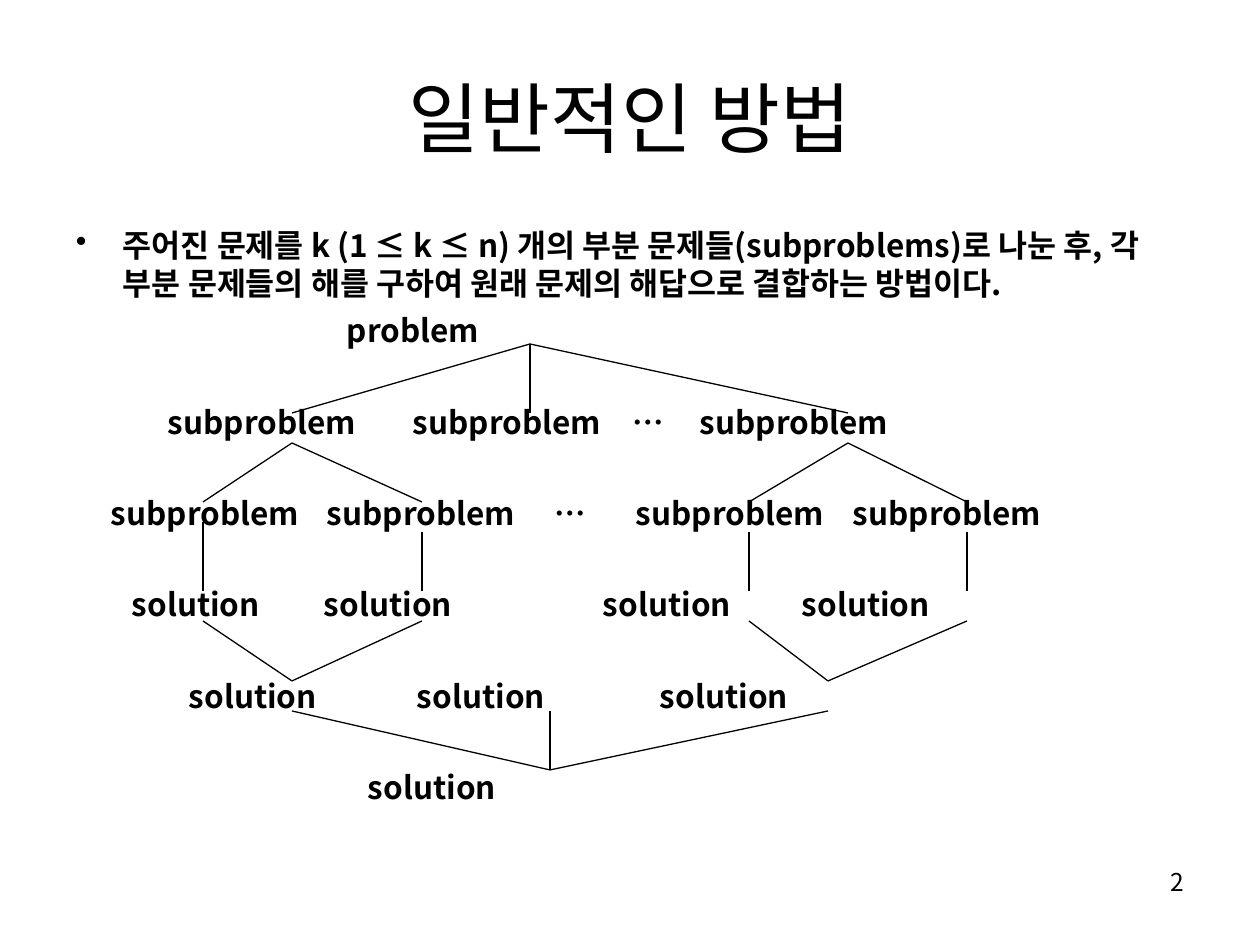
from lxml import etree
from pptx import Presentation
from pptx import util as u
from pptx.dml.color import RGBColor
from pptx.enum import shapes, text
from pptx.oxml.ns import qn

PX = 914400 // 126
FONT = "Noto Sans CJK KR"
COLORS = {"ink": "000000", "paper": "FFFFFF"}

TITLE = "일반적인 방법"
DEFINITION = ("주어진 문제를 k (1 ≤ k ≤ n) 개의 부분 문제들(subproblems)로 나눈 후, "
              "각 부분 문제들의 해를 구하여 원래 문제의 해답으로 결합하는 방법이다.")
PAGE = "2"

LEVELS = [
    [("problem", 413)],
    [("subproblem", 262), ("subproblem", 507), ("…", 648), ("subproblem", 794)],
    [("subproblem", 205), ("subproblem", 421), ("…", 570), ("subproblem", 730), ("subproblem", 947)],
    [("solution", 196), ("solution", 388), ("solution", 667), ("solution", 866)],
    [("solution", 253), ("solution", 481), ("solution", 724)],
    [("solution", 432)],
]
FIRST_LEVEL_Y, LEVEL_STEP = 330, 91.4
LABEL_W, LABEL_H = 210, 46

LEAVES = (203, 422, 749, 967)
FANS = [
    ((530, 344), (292, 530, 848), 413),
    ((292, 443), LEAVES[:2], 502),
    ((848, 443), LEAVES[2:], 502),
    ((292, 681), LEAVES[:2], 621),
    ((828, 681), LEAVES[2:], 621),
    ((550, 770), (292, 550, 828), 711),
]
LEAF_TOPS, LEAF_BOTTOM = (522, 532, 532, 532), 591


def px(n):
    return u.Emu(round(n * PX))


def add_words(slide, words, box, size, align, anchor, bold=False, inset=(0, 0)):
    frame = slide.shapes.add_textbox(*map(px, box)).text_frame
    frame.word_wrap = True
    frame.vertical_anchor = anchor
    frame.margin_left = frame.margin_right = px(inset[0])
    frame.margin_top = frame.margin_bottom = px(inset[1])
    paragraph = frame.paragraphs[0]
    paragraph.text = words
    paragraph.alignment = align
    font = paragraph.font
    font.name, font.size, font.bold = FONT, u.Pt(size), bold
    font.color.rgb = RGBColor.from_string(COLORS["ink"])
    for run in paragraph.runs:
        east_asian = etree.SubElement(run._r.get_or_add_rPr(), qn("a:ea"))
        east_asian.set("typeface", FONT)
    return paragraph


def add_bullet(paragraph, indent):
    props = paragraph._p.get_or_add_pPr()
    props.set("marL", str(px(indent)))
    props.set("indent", str(-px(indent)))
    bullet = etree.Element(qn("a:buChar"))
    bullet.set("char", "•")
    props.insert(0, bullet)


def add_branch(slide, start, end):
    branch = slide.shapes.add_connector(
        shapes.MSO_CONNECTOR.STRAIGHT, *map(px, start + end))
    branch.line.color.rgb = RGBColor.from_string(COLORS["ink"])
    branch.line.width = u.Pt(0.75)
    etree.SubElement(branch._element.spPr, qn("a:effectLst"))


def main():
    deck = Presentation()
    deck.slide_width, deck.slide_height = px(1260), px(945)
    slide = deck.slides.add_slide(deck.slide_layouts[6])
    slide.background.fill.solid()
    slide.background.fill.fore_color.rgb = RGBColor.from_string(COLORS["paper"])

    align, anchor = text.PP_ALIGN, text.MSO_ANCHOR
    add_words(slide, PAGE, (903, 861, 294, 65), 14, align.RIGHT, anchor.TOP, inset=(13, 6))
    add_words(slide, TITLE, (63, 38, 1134, 158), 44, align.CENTER, anchor.MIDDLE, inset=(13, 6))
    definition = add_words(slide, DEFINITION, (63, 220, 1134, 90), 18,
                           align.LEFT, anchor.TOP, True, (13, 6))
    add_bullet(definition, 47)

    for row, labels in enumerate(LEVELS):
        top = FIRST_LEVEL_Y + row * LEVEL_STEP - LABEL_H / 2
        for words, center in labels:
            add_words(slide, words, (center - LABEL_W / 2, top, LABEL_W, LABEL_H), 18,
                      align.CENTER, anchor.MIDDLE, True)

    for hub, ends, ends_y in FANS:
        for x in ends:
            add_branch(slide, hub, (x, ends_y))
    for x, top in zip(LEAVES, LEAF_TOPS):
        add_branch(slide, (x, top), (x, LEAF_BOTTOM))

    deck.save("out.pptx")


if __name__ == "__main__":
    main()
